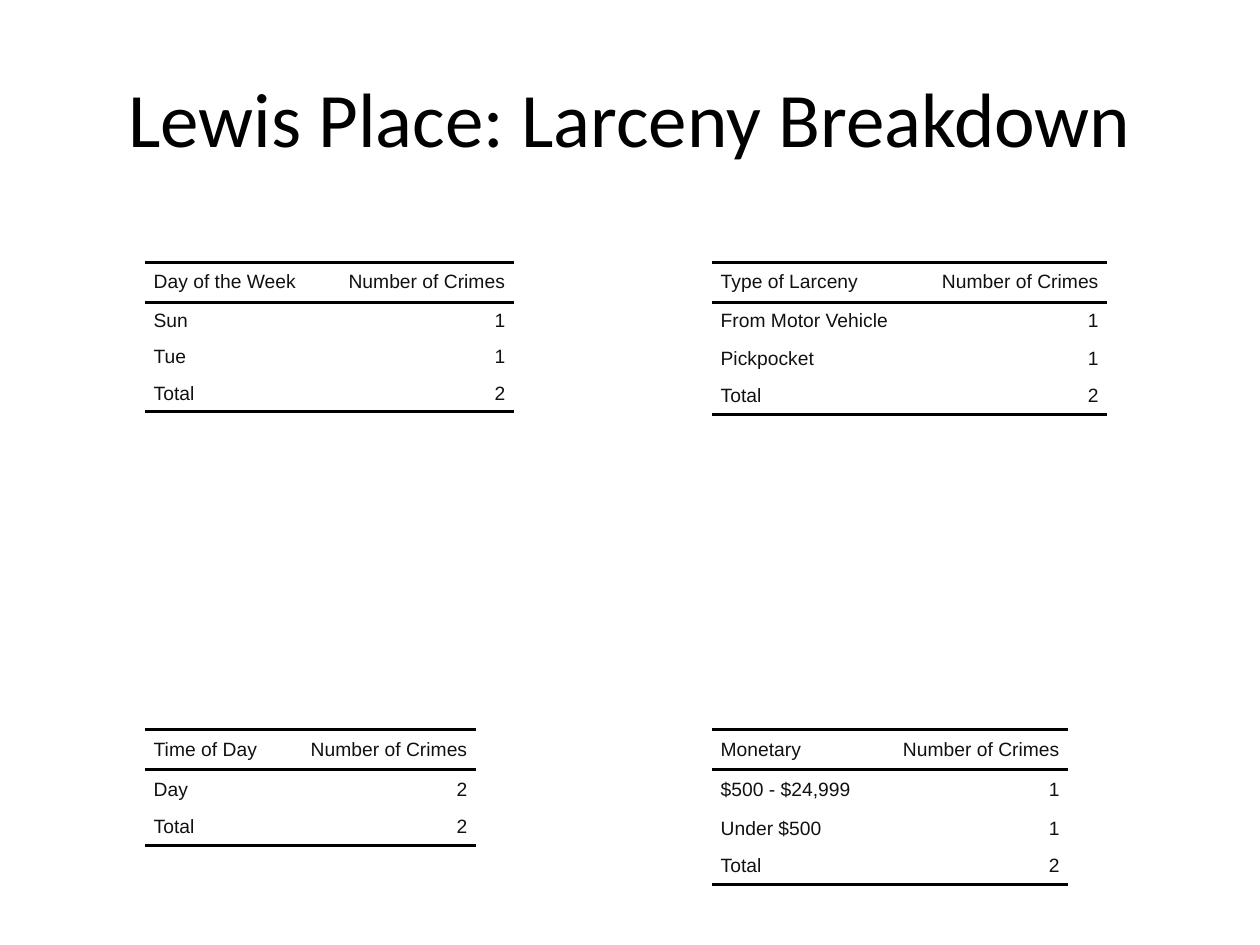
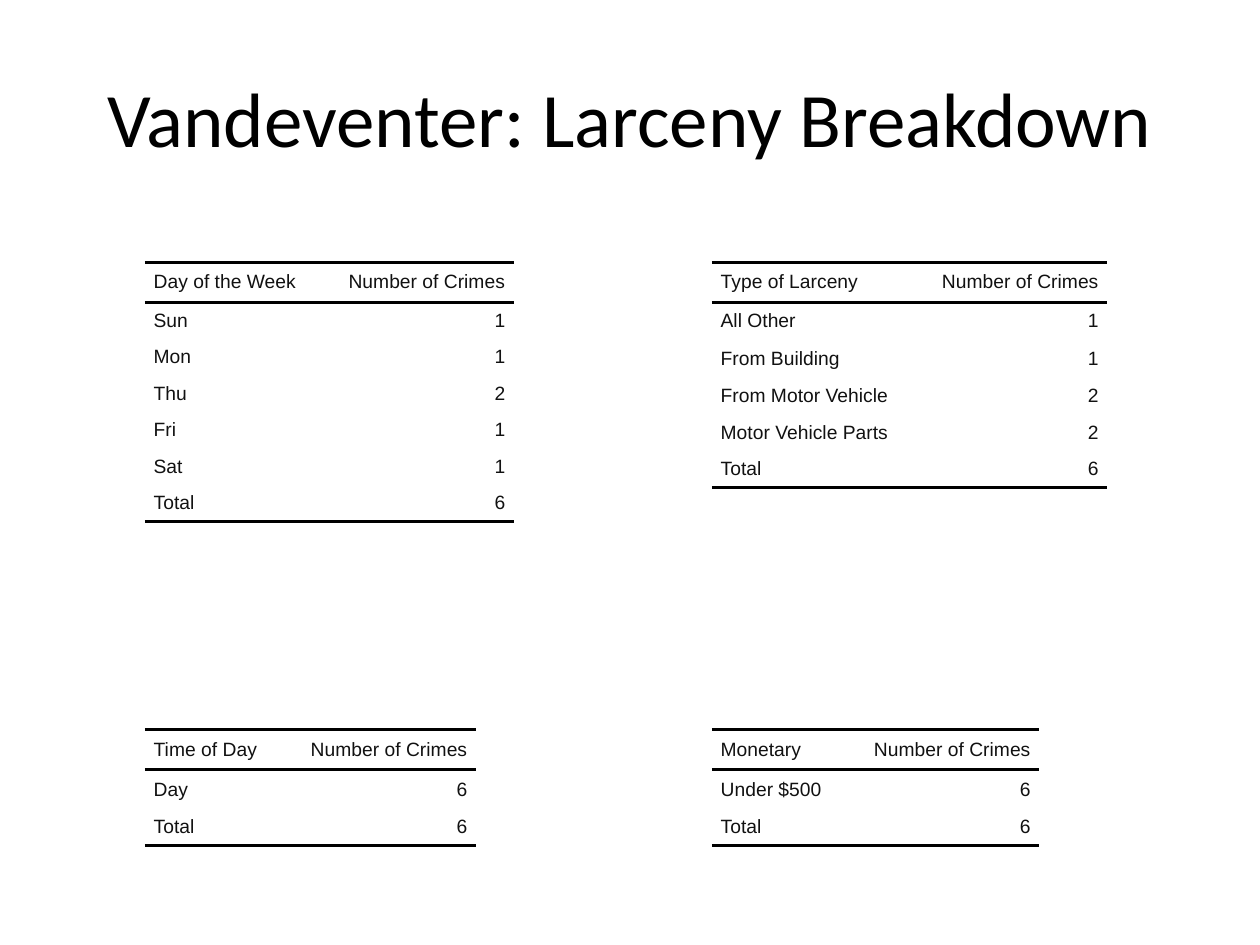
import pptx
import pptx.dml.color
import pptx.enum.text
import pptx.oxml.ns
import pptx.util
from lxml import etree

Inches = pptx.util.Inches
Pt = pptx.util.Pt
PP_ALIGN = pptx.enum.text.PP_ALIGN
MIDDLE = pptx.enum.text.MSO_ANCHOR.MIDDLE

# Shared look
BLACK, INK, PAPER = "000000", "111111", "FFFFFF"
TITLE_STYLE = {"name": "Calibri", "size": Pt(44)}
CELL_STYLE = {"name": "Arial", "size": Pt(11)}
CELL_FORMAT = {
    "margin_left": Inches(0.07), "margin_right": Inches(0.07),
    "margin_top": Inches(0.03), "margin_bottom": Inches(0.03),
    "vertical_anchor": MIDDLE,
}
NO_STYLE = "{2D5ABB26-0587-4C30-8999-92F81FD0307C}"
RULE_WIDTH = Pt(2)

# Shared layout, in inches
TITLE_BOX = (0.5, 0.3, 9, 1.25)
LEFT, RIGHT = 1.15, 5.65
UPPER, LOWER = 2.08, 5.79
COUNT_WIDTH = 1.52
HEADER_HEIGHT, ROW_HEIGHT, TALL_ROW = 0.32, 0.29, 0.31

# Each table: place, heading, label width, tall rows, counts
SLIDES = [
    ("Lewis Place: Larceny Breakdown", [
        ((LEFT, UPPER), "Day of the Week", 1.41, (), {"Sun": 1, "Tue": 1}),
        ((LEFT, LOWER), "Time of Day", 1.11, (1,), {"Day": 2}),
        ((RIGHT, UPPER), "Type of Larceny", 1.62, (2,),
         {"From Motor Vehicle": 1, "Pickpocket": 1}),
        ((RIGHT, LOWER), "Monetary", 1.31, (1, 2),
         {"$500 - $24,999": 1, "Under $500": 1}),
    ]),
    ("Vandeventer: Larceny Breakdown", [
        ((LEFT, UPPER), "Day of the Week", 1.41, (),
         {"Sun": 1, "Mon": 1, "Thu": 2, "Fri": 1, "Sat": 1}),
        ((LEFT, LOWER), "Time of Day", 1.11, (1,), {"Day": 6}),
        ((RIGHT, UPPER), "Type of Larceny", 1.62, (2,),
         {"All Other": 1, "From Building": 1, "From Motor Vehicle": 2,
          "Motor Vehicle Parts": 2}),
        ((RIGHT, LOWER), "Monetary", 1.08, (1,), {"Under $500": 6}),
    ]),
]


def color(hex_code):
    return pptx.dml.color.RGBColor.from_string(hex_code)


def apply(target, values):
    for attribute, value in values.items():
        setattr(target, attribute, value)


def write(paragraph, words, style, hex_code, alignment):
    paragraph.alignment = alignment
    run = paragraph.add_run()
    run.text = words
    apply(run.font, style)
    run.font.color.rgb = color(hex_code)


def add_rules(cell, sides):
    """Draw rules on the given sides, listed in schema order (T before B)."""
    qn = pptx.oxml.ns.qn
    properties = cell._tc.get_or_add_tcPr()
    for position, side in enumerate(sides):
        rule = etree.Element(qn(f"a:ln{side}"), w=str(RULE_WIDTH))
        fill = etree.SubElement(rule, qn("a:solidFill"))
        etree.SubElement(fill, qn("a:srgbClr"), val=BLACK)
        properties.insert(position, rule)


def add_title(slide, box, words):
    frame = slide.shapes.add_textbox(*map(Inches, box)).text_frame
    apply(frame, {"word_wrap": True, "vertical_anchor": MIDDLE})
    write(frame.paragraphs[0], words, TITLE_STYLE, BLACK, PP_ALIGN.CENTER)


def add_breakdown(slide, place, heading, label_width, tall_rows, counts):
    rows = [(heading, "Number of Crimes"), *counts.items(),
            ("Total", sum(counts.values()))]
    heights = [HEADER_HEIGHT] + [TALL_ROW if i in tall_rows else ROW_HEIGHT
                                 for i in range(1, len(rows))]
    widths = (label_width, COUNT_WIDTH)
    box = (*place, sum(widths), sum(heights))
    table = slide.shapes.add_table(len(rows), 2, *map(Inches, box)).table
    apply(table, {"first_row": False, "horz_banding": False})
    table._tbl.tblPr.find(pptx.oxml.ns.qn("a:tableStyleId")).text = NO_STYLE

    for column, width in zip(table.columns, widths):
        column.width = Inches(width)
    for i, (entries, height) in enumerate(zip(rows, heights)):
        table.rows[i].height = Inches(height)
        # Rules above and below the heading, and below the total
        sides = {0: "TB", len(rows) - 1: "B"}.get(i, "")
        for j, alignment in enumerate((PP_ALIGN.LEFT, PP_ALIGN.RIGHT)):
            cell = table.cell(i, j)
            apply(cell, CELL_FORMAT)
            cell.fill.background()
            add_rules(cell, sides)
            write(cell.text_frame.paragraphs[0], str(entries[j]),
                  CELL_STYLE, INK, alignment)


def add_larceny_slide(deck, title, breakdowns):
    slide = deck.slides.add_slide(deck.slide_layouts[6])
    slide.background.fill.solid()
    slide.background.fill.fore_color.rgb = color(PAPER)
    add_title(slide, TITLE_BOX, title)
    for breakdown in breakdowns:
        add_breakdown(slide, *breakdown)


def main():
    deck = pptx.Presentation()
    apply(deck, {"slide_width": Inches(10), "slide_height": Inches(7.5)})
    for title, breakdowns in SLIDES:
        add_larceny_slide(deck, title, breakdowns)
    deck.save("out.pptx")


if __name__ == "__main__":
    main()
